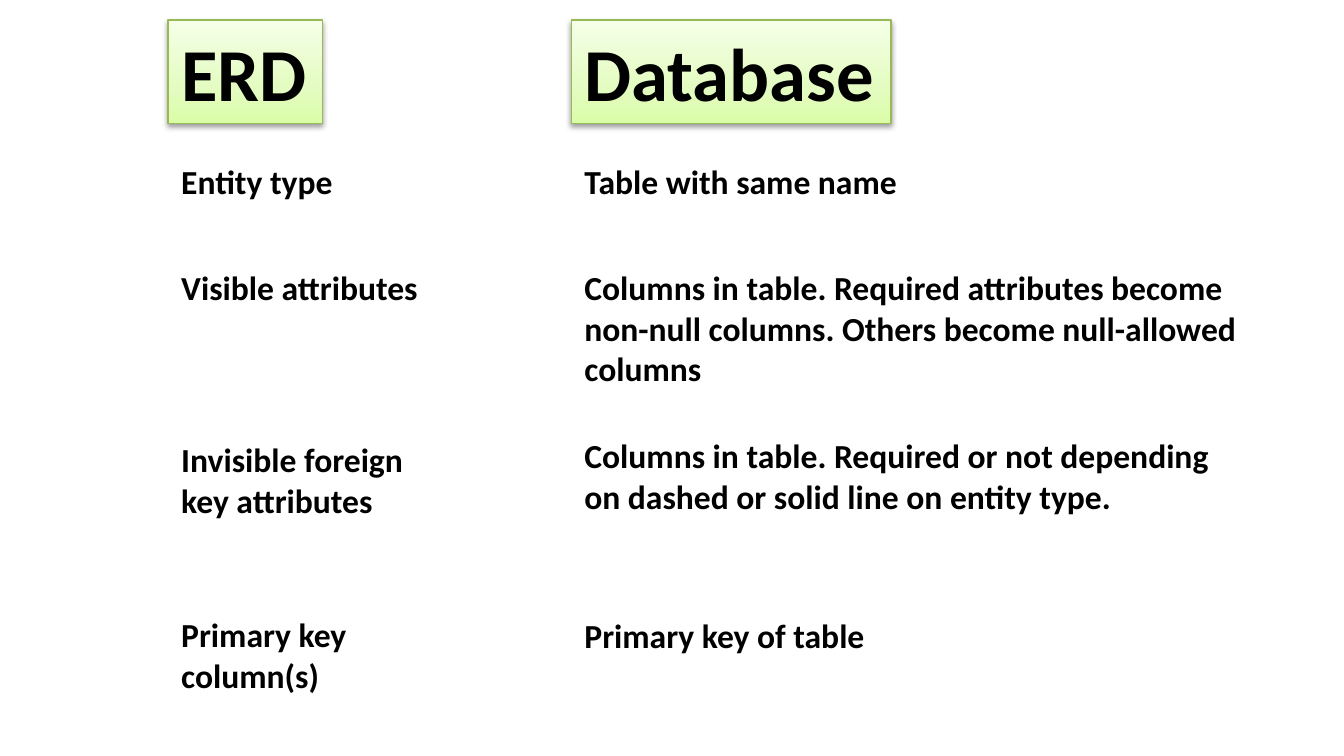
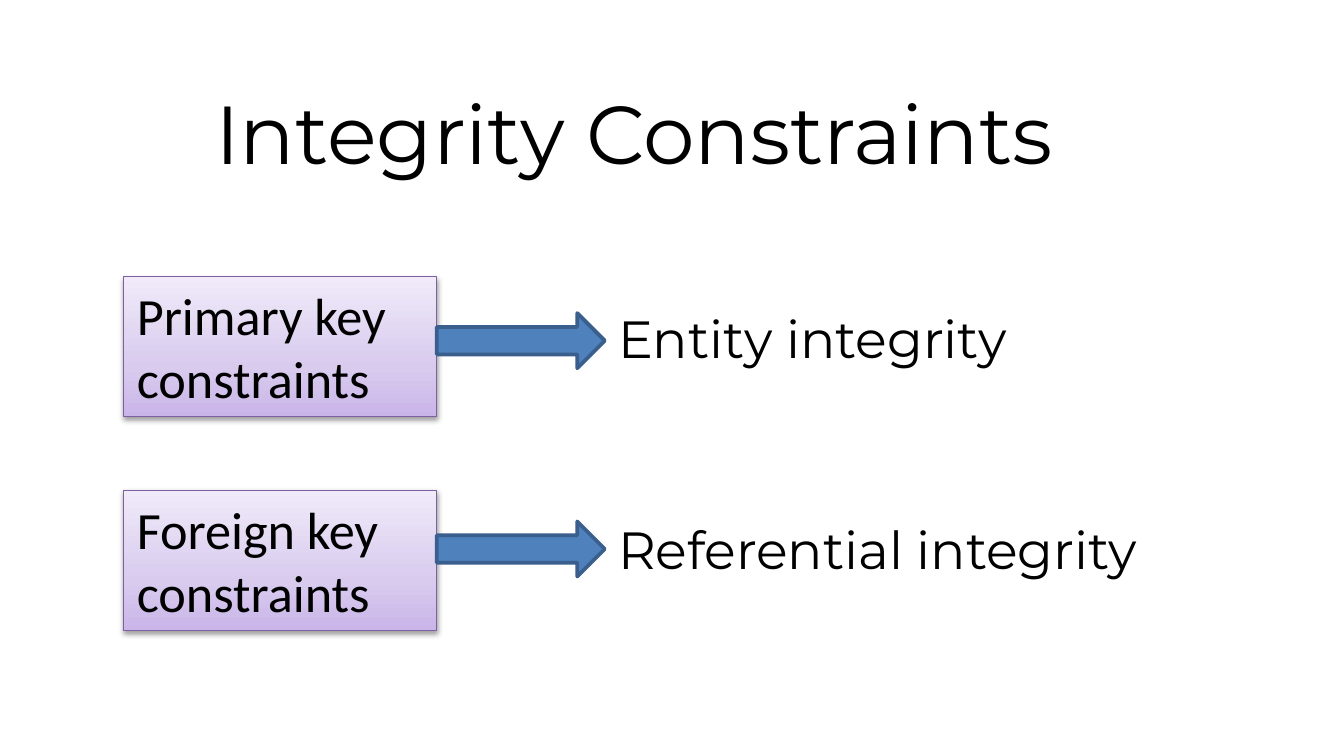
"""Build two slides that map an ERD to a database and show integrity constraints."""
import copy

import lxml.etree
import pptx
import pptx.dml.color
import pptx.enum.shapes
import pptx.enum.text
import pptx.oxml
import pptx.oxml.ns
import pptx.util

Inches = pptx.util.Inches
Pt = pptx.util.Pt
qn = pptx.oxml.ns.qn
SHAPES = pptx.enum.shapes.MSO_SHAPE

BODY_FONT, DISPLAY_FONT = "Calibri", "Montserrat"
INK = "000000"
GREEN = {"stops": [(0, "DAFDA7"), (35, "E4FCC2"), (100, "F5FFE7")], "line": "98B955"}
PURPLE = {"stops": [(0, "C9B5E8"), (35, "D8CBEE"), (100, "F0EAF9")], "line": "7D60A0"}
ARROW_FILL, ARROW_LINE = "4F81BD", "3A5F8C"

ERD_LEFT, DATABASE_LEFT = 1.25, 4.25
HEADINGS = [("ERD", ERD_LEFT, 1.15), ("Database", DATABASE_LEFT, 2.38)]
MAPPINGS = [
    (("Entity type", 1.15, 1.34, 0.4, False),
     ("Table with same name", 1.15, 2.55, 0.4, False)),
    (("Visible attributes", 1.94, 1.98, 0.4, False),
     ("Columns in table. Required attributes become non-null columns. "
      "Others become null-allowed columns", 1.94, 5.17, 1.01, True)),
    (("Invisible foreign key attributes", 3.22, 1.98, 0.64, True),
     ("Columns in table. Required or not depending on dashed or solid line "
      "on entity type. ", 3.19, 5.17, 0.71, True)),
    (("Primary key column(s)", 4.52, 1.98, 0.71, True),
     ("Primary key of table", 4.53, 4.08, 0.4, True)),
]

TITLE = "Integrity Constraints"
CONSTRAINTS = [
    {"key": "Primary key constraints", "key_top": 2.06, "arrow_top": 2.33,
     "rule": "Entity integrity", "rule_top": 2.23, "rule_width": 3.42},
    {"key": "Foreign key constraints", "key_top": 3.65, "arrow_top": 3.88,
     "rule": "Referential integrity", "rule_top": 3.8, "rule_width": 4.52},
]
KEY_LEFT, KEY_WIDTH, KEY_HEIGHT = 0.92, 2.33, 1.04
ARROW_WIDTH, ARROW_HEIGHT = 1.25, 0.41


def color(value):
    return pptx.dml.color.RGBColor.from_string(value)


def box(left, top, width, height):
    return [Inches(length) for length in (left, top, width, height)]


def write(shape, text, size, font=BODY_FONT, bold=False, wrap=True):
    frame = shape.text_frame
    frame.word_wrap = wrap
    frame.auto_size = pptx.enum.text.MSO_AUTO_SIZE.SHAPE_TO_FIT_TEXT
    frame.vertical_anchor = pptx.enum.text.MSO_ANCHOR.TOP
    paragraph = frame.paragraphs[0]
    paragraph.alignment = pptx.enum.text.PP_ALIGN.LEFT
    run = paragraph.add_run()
    run.text = text
    run.font.name, run.font.size, run.font.bold = font, Pt(size), bold
    run.font.color.rgb = color(INK)


def add_label(slide, place, text, size, **style):
    write(slide.shapes.add_textbox(*box(*place)), text, size, **style)


def paint_gradient(shape, stops):
    shape.fill.gradient()
    shape.fill.gradient_angle = 90
    stop_list = shape.element.spPr.find(qn("a:gradFill")).find(qn("a:gsLst"))
    stop_list.append(copy.deepcopy(stop_list[0]))
    for stop, (position, value) in zip(shape.fill.gradient_stops, stops):
        stop.position = position / 100
        stop.color.rgb = color(value)


def cast_shadow(shape):
    effects = shape.element.spPr.find(qn("a:effectLst"))
    shadow = lxml.etree.SubElement(
        effects, qn("a:outerShdw"), blurRad=str(Pt(3.1)), dist=str(Pt(1.6)),
        dir="5400000", rotWithShape="0")
    tint = lxml.etree.SubElement(shadow, qn("a:srgbClr"), val="000000")
    lxml.etree.SubElement(tint, qn("a:alpha"), val="38000")


def add_outlined(slide, kind, place, line, weight):
    shape = slide.shapes.add_shape(kind, *box(*place))
    shape.shadow.inherit = False
    shape.line.color.rgb = color(line)
    shape.line.width = Pt(weight)
    return shape


def add_panel(slide, place, theme, text, size, **style):
    panel = add_outlined(slide, SHAPES.RECTANGLE, place, theme["line"], 0.75)
    paint_gradient(panel, theme["stops"])
    cast_shadow(panel)
    write(panel, text, size, **style)


def add_arrow(slide, place):
    arrow = add_outlined(slide, SHAPES.RIGHT_ARROW, place, ARROW_LINE, 2)
    arrow.fill.solid()
    arrow.fill.fore_color.rgb = color(ARROW_FILL)


def build_mapping(deck):
    slide = deck.slides.add_slide(deck.slide_layouts.get_by_name("Blank"))
    for heading, left, width in HEADINGS:
        add_panel(slide, (left, 0.15, width, 0.77), GREEN, heading, 40, bold=True, wrap=False)
    for mapping in MAPPINGS:
        for left, (text, top, width, height, wrap) in zip((ERD_LEFT, DATABASE_LEFT), mapping):
            add_label(slide, (left, top, width, height), text, 18, bold=True, wrap=wrap)


def build_constraints(deck):
    slide = deck.slides.add_slide(deck.slide_layouts.get_by_name("Title Only"))
    title = slide.shapes.title
    title.left, title.top, title.width, title.height = box(1.5, 0.56, 7.23, 0.84)
    write(title, TITLE, 44, font=DISPLAY_FONT, wrap=False)
    arrow_left = KEY_LEFT + KEY_WIDTH
    rule_left = arrow_left + ARROW_WIDTH
    for row in CONSTRAINTS:
        add_panel(slide, (KEY_LEFT, row["key_top"], KEY_WIDTH, KEY_HEIGHT), PURPLE, row["key"], 28)
        add_label(slide, (rule_left, row["rule_top"], row["rule_width"], 0.57),
                  row["rule"], 28, font=DISPLAY_FONT, wrap=False)
        add_arrow(slide, (arrow_left, row["arrow_top"], ARROW_WIDTH, ARROW_HEIGHT))


deck = pptx.Presentation()
deck.slide_width = Inches(10)
deck.slide_height = deck.slide_width * 9 // 16
build_mapping(deck)
build_constraints(deck)
deck.save("out.pptx")
